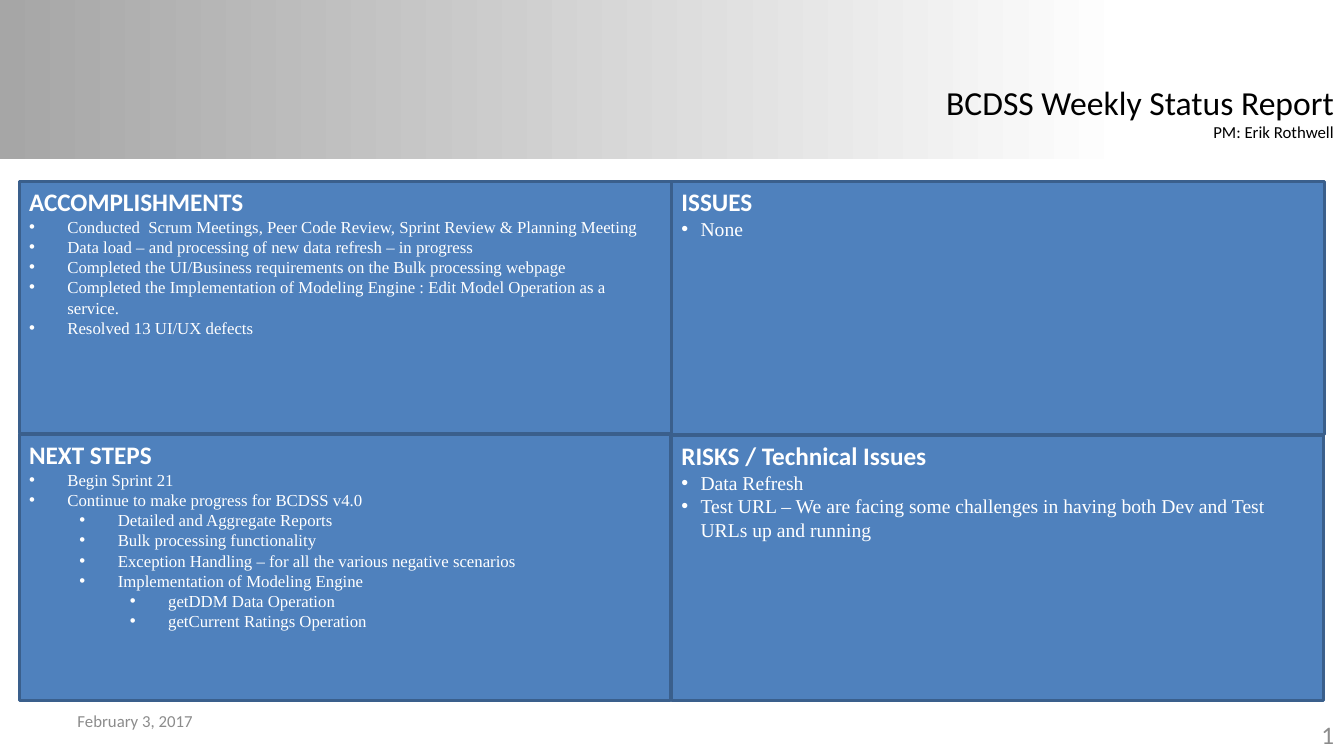
from dataclasses import dataclass

from lxml.etree import SubElement
from pptx import Presentation
from pptx.dml.color import RGBColor
from pptx.enum.shapes import MSO_SHAPE as Shape
from pptx.enum.text import MSO_ANCHOR as Anchor
from pptx.enum.text import MSO_AUTO_SIZE as AutoSize
from pptx.enum.text import PP_ALIGN as Align
from pptx.oxml.ns import qn
from pptx.slide import Slide
from pptx.text.text import _Paragraph as Paragraph
from pptx.util import Pt

EMU_PER_PX = 9144
SLIDE_WIDTH, SLIDE_HEIGHT = 1333, 750
LEVEL_INDENT = 50

BLACK = RGBColor(0x00, 0x00, 0x00)
WHITE = RGBColor(0xFF, 0xFF, 0xFF)
BANNER_GRAY = RGBColor(0xA6, 0xA6, 0xA6)
FOOTER_GRAY = RGBColor(0x8C, 0x8C, 0x8C)
PANEL_BLUE = RGBColor(0x4F, 0x81, 0xBD)
PANEL_BORDER = RGBColor(0x3A, 0x5F, 0x8C)

HEADING_FONT = "Calibri"
BODY_FONT = "Times New Roman"


@dataclass(frozen=True)
class Box:
    left: int
    top: int
    width: int
    height: int

    def emu(self) -> tuple[int, ...]:
        return tuple(length * EMU_PER_PX for length in (self.left, self.top, self.width, self.height))


@dataclass(frozen=True)
class Item:
    text: str
    level: int = 0


@dataclass(frozen=True)
class Panel:
    heading: str
    box: Box
    size: int
    hanging: int
    items: tuple[Item, ...]


@dataclass(frozen=True)
class Footer:
    text: str
    box: Box
    size: int
    alignment: Align


PANELS = (
    Panel("ACCOMPLISHMENTS", Box(19, 180, 647, 250), 12, 38, (
        Item("Conducted  Scrum Meetings, Peer Code Review, Sprint Review & Planning Meeting"),
        Item("Data load – and processing of new data refresh – in progress"),
        Item("Completed the UI/Business requirements on the Bulk processing webpage"),
        Item("Completed the Implementation of Modeling Engine : Edit Model Operation as a service."),
        Item("Resolved 13 UI/UX defects"),
    )),
    Panel("NEXT STEPS", Box(19, 431, 646, 264), 12, 38, (
        Item("Begin Sprint 21"),
        Item("Continue to make progress for BCDSS v4.0"),
        Item("Detailed and Aggregate Reports", 1),
        Item("Bulk processing functionality", 1),
        Item("Exception Handling – for all the various negative scenarios", 1),
        Item("Implementation of Modeling Engine", 1),
        Item("getDDM Data Operation", 2),
        Item("getCurrent Ratings Operation", 2),
    )),
    Panel("ISSUES", Box(666, 180, 648, 251), 14, 19, (Item("None"),)),
    Panel("RISKS / Technical Issues", Box(666, 432, 647, 263), 14, 19, (
        Item("Data Refresh"),
        Item("Test URL – We are facing some challenges in having both Dev and Test URLs up and running"),
    )),
)

FOOTERS = (
    Footer("February 3, 2017", Box(67, 695, 311, 40), 12, Align.LEFT),
    Footer("1", Box(1022, 709, 311, 40), 18, Align.RIGHT),
)


def format_runs(paragraph: Paragraph, font_name: str, size: int, color: RGBColor, bold: bool = False) -> None:
    for run in paragraph.runs:
        run.font.name = font_name
        run.font.size = Pt(size)
        run.font.bold = bold
        run.font.color.rgb = color


def add_bullet(paragraph: Paragraph, left: int, hanging: int) -> None:
    properties = paragraph._p.get_or_add_pPr()
    properties.set("marL", str(left * EMU_PER_PX))
    properties.set("indent", str(-hanging * EMU_PER_PX))
    SubElement(properties, qn("a:buFont")).set("typeface", "Arial")
    SubElement(properties, qn("a:buChar")).set("char", "•")


def draw_banner(slide: Slide) -> None:
    banner = slide.shapes.add_shape(Shape.RECTANGLE, *Box(0, 0, SLIDE_WIDTH, 158).emu())
    banner.shadow.inherit = False
    banner.line.fill.background()
    banner.fill.gradient()
    banner.fill.gradient_angle = 0
    stops = ((0, BANNER_GRAY), (0.84, WHITE))
    for stop, (position, color) in zip(banner.fill.gradient_stops, stops):
        stop.position = position
        stop.color.rgb = color
    slide.shapes.title._element.addprevious(banner._element)


def draw_title(slide: Slide) -> None:
    title = slide.shapes.title
    title.left, title.top, title.width, title.height = Box(925, 76, 408, 71).emu()
    frame = title.text_frame
    frame.text = "BCDSS Weekly Status Report\nPM: Erik Rothwell"
    frame.word_wrap = False
    frame.auto_size = AutoSize.SHAPE_TO_FIT_TEXT
    frame.vertical_anchor = Anchor.TOP
    for paragraph, size in zip(frame.paragraphs, (24, 12)):
        paragraph.alignment = Align.RIGHT
        format_runs(paragraph, HEADING_FONT, size, BLACK)


def draw_panel(slide: Slide, panel: Panel) -> None:
    shape = slide.shapes.add_shape(Shape.RECTANGLE, *panel.box.emu())
    shape.shadow.inherit = False
    shape.fill.solid()
    shape.fill.fore_color.rgb = PANEL_BLUE
    shape.line.color.rgb = PANEL_BORDER
    shape.line.width = Pt(2)
    frame = shape.text_frame
    frame.word_wrap = True
    frame.vertical_anchor = Anchor.TOP
    heading = frame.paragraphs[0]
    heading.text = panel.heading
    heading.alignment = Align.LEFT
    format_runs(heading, HEADING_FONT, 18, WHITE, bold=True)
    for item in panel.items:
        paragraph = frame.add_paragraph()
        paragraph.text = item.text
        paragraph.alignment = Align.LEFT
        paragraph.level = item.level
        add_bullet(paragraph, panel.hanging + item.level * LEVEL_INDENT, panel.hanging)
        format_runs(paragraph, BODY_FONT, panel.size, WHITE)


def draw_footer(slide: Slide, footer: Footer) -> None:
    frame = slide.shapes.add_textbox(*footer.box.emu()).text_frame
    frame.text = footer.text
    frame.word_wrap = True
    frame.vertical_anchor = Anchor.MIDDLE
    frame.paragraphs[0].alignment = footer.alignment
    format_runs(frame.paragraphs[0], HEADING_FONT, footer.size, FOOTER_GRAY)


def main() -> None:
    presentation = Presentation()
    presentation.slide_width = SLIDE_WIDTH * EMU_PER_PX
    presentation.slide_height = SLIDE_HEIGHT * EMU_PER_PX
    slide = presentation.slides.add_slide(presentation.slide_layouts.get_by_name("Title Only"))
    draw_banner(slide)
    draw_title(slide)
    for panel in PANELS:
        draw_panel(slide, panel)
    for footer in FOOTERS:
        draw_footer(slide, footer)
    presentation.save("out.pptx")


if __name__ == "__main__":
    main()
